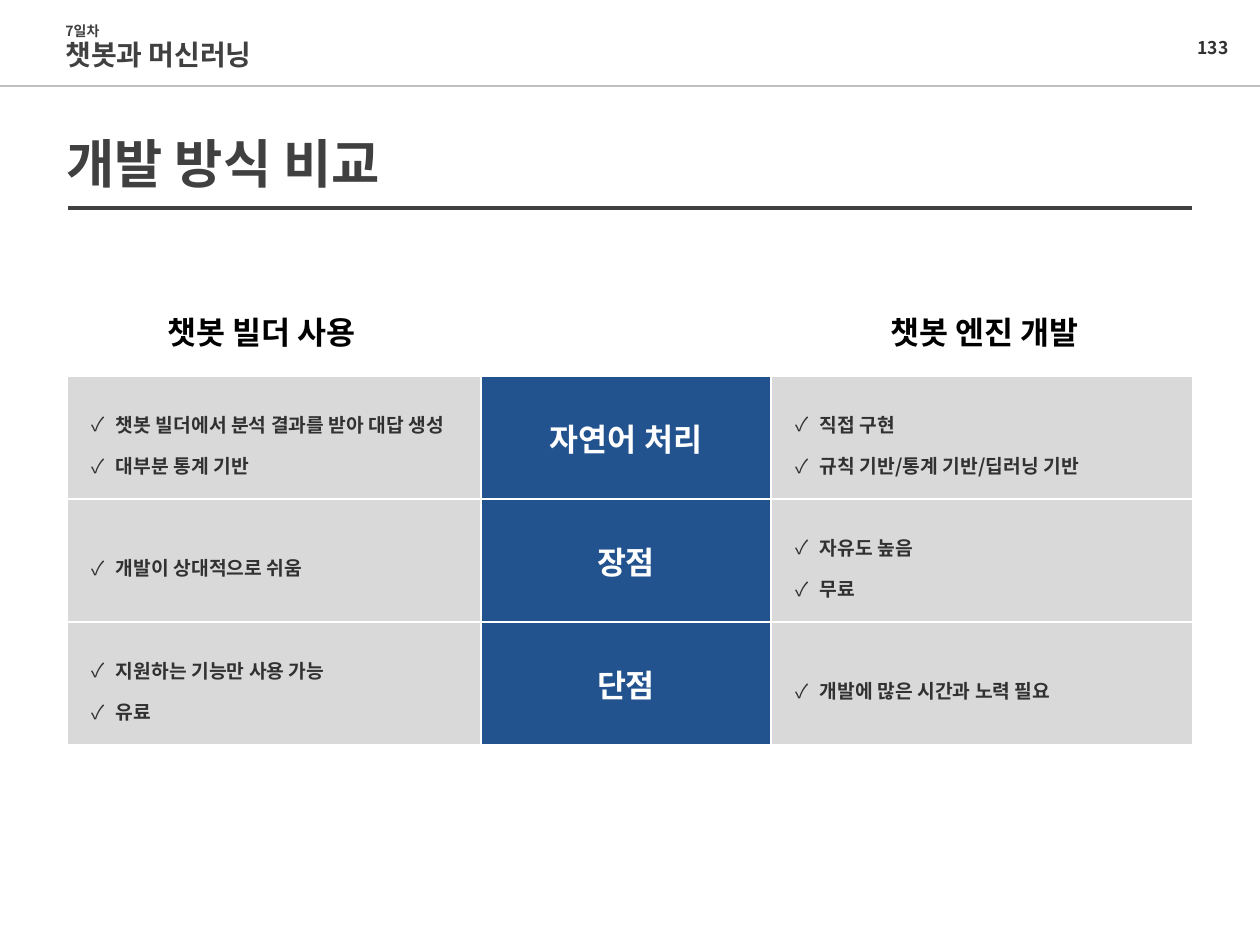
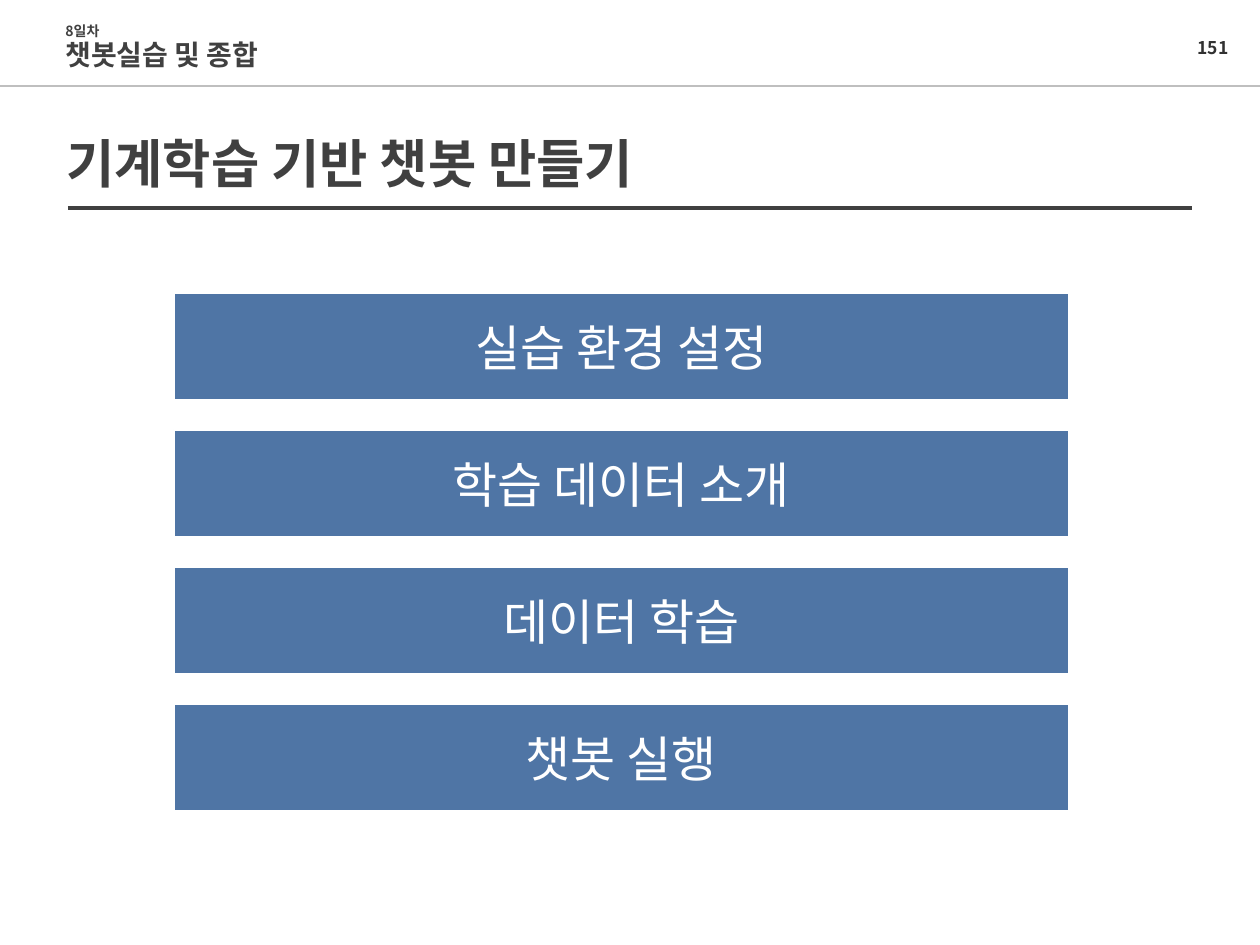
from lxml.etree import SubElement
from pptx import Presentation
from pptx.dml.color import RGBColor
from pptx.enum.shapes import MSO_CONNECTOR, MSO_SHAPE
from pptx.enum.text import MSO_ANCHOR, PP_ALIGN
from pptx.oxml.ns import qn
from pptx.util import Pt

FONT = "Noto Sans CJK KR"
WHITE = RGBColor(0xFF, 0xFF, 0xFF)
BLACK = RGBColor(0, 0, 0)
INK = RGBColor(0x31, 0x31, 0x31)
DARK = RGBColor(0x40, 0x40, 0x40)
RULE = RGBColor(0xBF, 0xBF, 0xBF)
PANEL = RGBColor(0xD9, 0xD9, 0xD9)
BLUE = RGBColor(0x23, 0x53, 0x8F)

WIDTH, HEIGHT = 1260, 945
PIXELS_PER_INCH = 126

COMPARISON = [
    (["챗봇 빌더에서 분석 결과를 받아 대답 생성", "대부분 통계 기반"],
     "자연어 처리",
     ["직접 구현", "규칙 기반/통계 기반/딥러닝 기반"]),
    (["개발이 상대적으로 쉬움"], "장점", ["자유도 높음", "무료"]),
    (["지원하는 기능만 사용 가능", "유료"], "단점", ["개발에 많은 시간과 노력 필요"]),
]
STEPS = ["실습 환경 설정", "학습 데이터 소개", "데이터 학습", "챗봇 실행"]


def px(length):
    return round(length * 914400 / PIXELS_PER_INCH)


class SlideBuilder:
    def __init__(self):
        self.deck = Presentation()
        self.deck.slide_width, self.deck.slide_height = px(WIDTH), px(HEIGHT)
        self.slide = None

    def page(self, day, chapter, title, number):
        """Start a slide with the header, title and rules that all slides share."""
        self.slide = self.deck.slides.add_slide(self.deck.slide_layouts[6])
        number_box = self.text(1191, 37, 44, 21, [number], [10], INK,
                               align=PP_ALIGN.CENTER, wrap=False)
        self.clear_margins(number_box.text_frame)
        self.rule(0, WIDTH, 86, RULE, 0.75)
        self.rule(68, 1192, 208, DARK, 2)
        self.text(54, 125, 1134, 91, [title], [30], DARK)
        header = self.text(53, 19, 345, 57, [day, chapter], [8, 16], DARK, spacing=0.95)
        header.text_frame.vertical_anchor = MSO_ANCHOR.MIDDLE

    def clear_margins(self, frame):
        frame.margin_left = frame.margin_right = frame.margin_top = frame.margin_bottom = 0

    def fill_text(self, frame, lines, sizes, color, bold=True, align=PP_ALIGN.LEFT,
                  spacing=None):
        """Fill a text frame; sizes holds one point size per line."""
        frame.text = "\n".join(lines)
        for para, size in zip(frame.paragraphs, sizes):
            para.alignment = align
            if spacing:
                para.line_spacing = spacing
            for span in para.runs:
                span.font.name = FONT
                span.font.size = Pt(size)
                span.font.bold = bold
                span.font.color.rgb = color
                SubElement(span._r.get_or_add_rPr(), qn("a:ea"), typeface=FONT)

    def text(self, left, top, width, height, lines, sizes, color, wrap=True, **style):
        box = self.slide.shapes.add_textbox(px(left), px(top), px(width), px(height))
        box.text_frame.word_wrap = wrap
        self.fill_text(box.text_frame, lines, sizes, color, **style)
        return box

    def rule(self, start, end, top, color, weight):
        line = self.slide.shapes.add_connector(
            MSO_CONNECTOR.STRAIGHT, px(start), px(top), px(end), px(top))
        line.line.color.rgb = color
        line.line.width = Pt(weight)
        SubElement(line._element.spPr, qn("a:effectLst"))

    def bar(self, left, top, width, height, label):
        """Draw a translucent blue bar with a centred label."""
        bar = self.slide.shapes.add_shape(
            MSO_SHAPE.RECTANGLE, px(left), px(top), px(width), px(height))
        bar.shadow.inherit = False
        bar.fill.solid()
        bar.fill.fore_color.rgb = BLUE
        color = bar._element.spPr.find(qn("a:solidFill")).find(qn("a:srgbClr"))
        SubElement(color, qn("a:alpha"), val="80000")
        bar.line.color.rgb = WHITE
        bar.line.width = Pt(1)
        bar.text_frame.vertical_anchor = MSO_ANCHOR.MIDDLE
        self.fill_text(bar.text_frame, [label], [28], WHITE, bold=False,
                       align=PP_ALIGN.CENTER)

    def table(self, left, top, widths, row_height, rows):
        """Draw a table where lists become bulleted cells and strings blue headings."""
        frame = self.slide.shapes.add_table(
            len(rows), len(widths), px(left), px(top),
            px(sum(widths)), px(row_height * len(rows)))
        table = frame.table
        table.first_row = table.horz_banding = False
        for column, width in zip(table.columns, widths):
            column.width = px(width)
        for row, contents in zip(table.rows, rows):
            row.height = px(row_height)
            for cell, content in zip(row.cells, contents):
                self.border(cell)
                cell.vertical_anchor = MSO_ANCHOR.MIDDLE
                self.clear_margins(cell)
                cell.fill.solid()
                if isinstance(content, str):
                    cell.fill.fore_color.rgb = BLUE
                    self.fill_text(cell.text_frame, [content], [18], WHITE,
                                   align=PP_ALIGN.CENTER)
                else:
                    cell.fill.fore_color.rgb = PANEL
                    cell.margin_left, cell.margin_right = px(25), px(13)
                    self.fill_text(cell.text_frame, content, [11] * len(content), INK,
                                   spacing=1.5)
                    self.bullets(cell.text_frame)

    def border(self, cell):
        properties = cell._tc.get_or_add_tcPr()
        for side in ("lnL", "lnR", "lnT", "lnB"):
            line = SubElement(properties, qn(f"a:{side}"), w=str(Pt(1)))
            fill = SubElement(line, qn("a:solidFill"))
            SubElement(fill, qn("a:srgbClr"), val=str(WHITE))

    def bullets(self, frame):
        for para in frame.paragraphs:
            properties = para._p.get_or_add_pPr()
            properties.set("marL", str(px(24)))
            properties.set("indent", str(-px(24)))
            SubElement(properties, qn("a:buFont"), typeface=FONT)
            SubElement(properties, qn("a:buChar"), char="✓")


def comparison_slide(builder):
    builder.page("7일차", "챗봇과 머신러닝", "개발 방식 비교", "133")
    for left, heading in ((155, "챗봇 빌더 사용"), (878, "챗봇 엔진 개발")):
        builder.text(left, 307, 231, 50, [heading], [18], BLACK, wrap=False)
    builder.table(67, 376, [414, 290, 422], 123, COMPARISON)


def steps_slide(builder):
    builder.page("8일차", "챗봇실습 및 종합", "기계학습 기반 챗봇 만들기", "151")
    for index, step in enumerate(STEPS):
        builder.bar(174, 293 + 137 * index, 895, 107, step)


def main():
    builder = SlideBuilder()
    comparison_slide(builder)
    steps_slide(builder)
    builder.deck.save("out.pptx")


if __name__ == "__main__":
    main()
